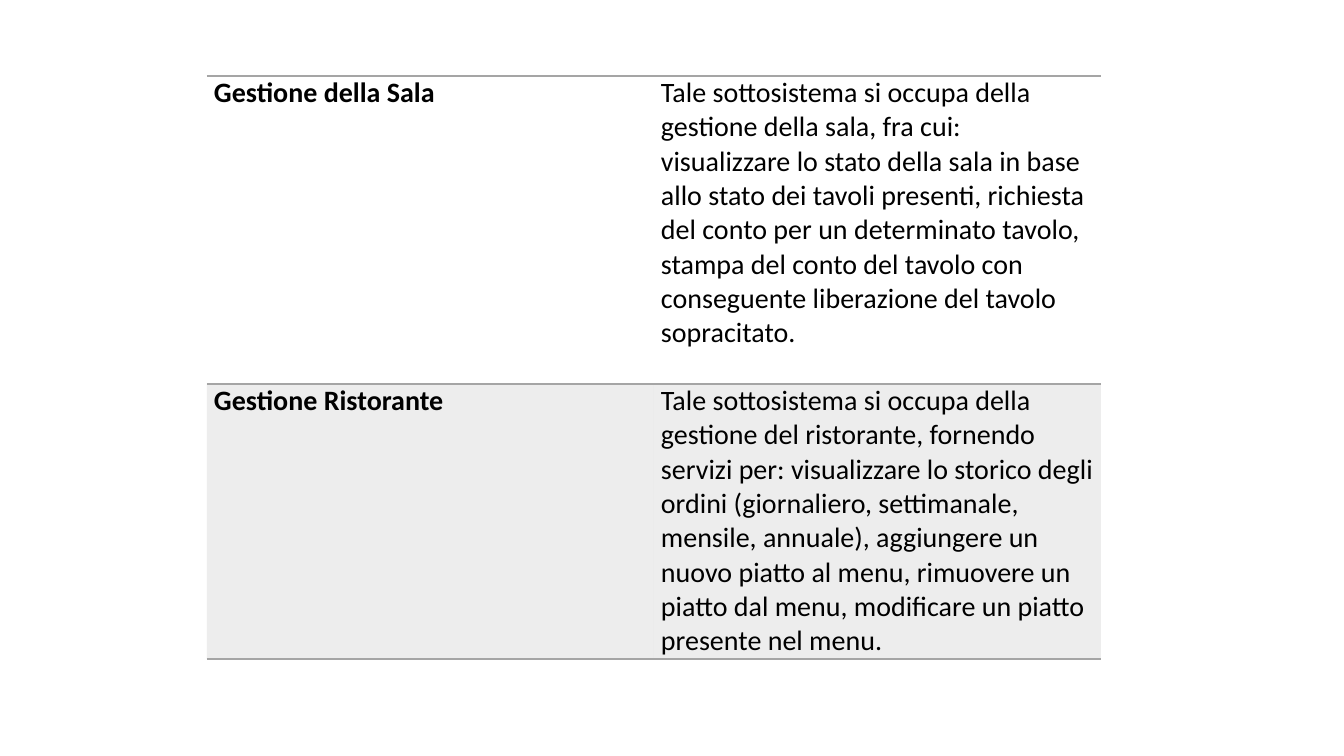
from lxml.etree import SubElement
from pptx import Presentation
from pptx.dml.color import RGBColor
from pptx.oxml import parse_xml
from pptx.oxml.ns import nsdecls, qn
from pptx.util import Pt

PX = 12192000 / 1344
COLORS = {"text": "000000", "gray": "A5A5A5"}
ROWS = [
    ("Gestione della Sala",
     "Tale sottosistema si occupa della gestione della sala, fra cui: "
     "visualizzare lo stato della sala in base allo stato dei tavoli presenti, "
     "richiesta del conto per un determinato tavolo, stampa del conto del tavolo "
     "con conseguente liberazione del tavolo sopracitato."),
    ("Gestione Ristorante",
     "Tale sottosistema si occupa della gestione del ristorante, fornendo servizi "
     "per: visualizzare lo storico degli ordini (giornaliero, settimanale, mensile, "
     "annuale), aggiungere un nuovo piatto al menu, rimuovere un piatto dal menu, "
     "modificare un piatto presente nel menu."),
]
HEIGHTS = [308, 275]
COL_W = 447


def px(n):
    return round(n * PX)


def write(cell, text, size=20, bold=False, color="text", font="Calibri"):
    r = cell.text_frame.paragraphs[0].add_run()
    r.text = text
    r.font.size = Pt(size)
    r.font.bold = bold
    r.font.name = font
    r.font.color.rgb = RGBColor.from_string(COLORS[color])


prs = Presentation()
prs.slide_width, prs.slide_height = px(1344), px(756)
s = prs.slides.add_slide(prs.slide_layouts[6])

table = s.shapes.add_table(2, 2, px(207), px(76), px(2 * COL_W), px(sum(HEIGHTS))).table
table.first_row = False
table.horz_banding = False
for col in table.columns:
    col.width = px(COL_W)

for i, (texts, height) in enumerate(zip(ROWS, HEIGHTS)):
    table.rows[i].height = px(height)
    for j, text in enumerate(texts):
        cell = table.cell(i, j)
        cell.margin_left = cell.margin_right = px(7)
        cell.margin_top = cell.margin_bottom = 0
        write(cell, text, bold=j == 0)
        tcPr = cell._tc.get_or_add_tcPr()
        gray_line = f'<a:solidFill><a:srgbClr val="{COLORS["gray"]}"/></a:solidFill>'
        for side in "LRTB":
            line = gray_line if side in "TB" else "<a:noFill/>"
            tcPr.append(parse_xml(f'<a:ln{side} {nsdecls("a")} w="12700">{line}</a:ln{side}>'))
        if i == 0:
            cell.fill.background()
        else:
            cell.fill.solid()
            cell.fill.fore_color.rgb = RGBColor.from_string(COLORS["gray"])
            tint = tcPr.find(qn("a:solidFill")).find(qn("a:srgbClr"))
            SubElement(tint, qn("a:alpha"), val="20000")

prs.save("out.pptx")
